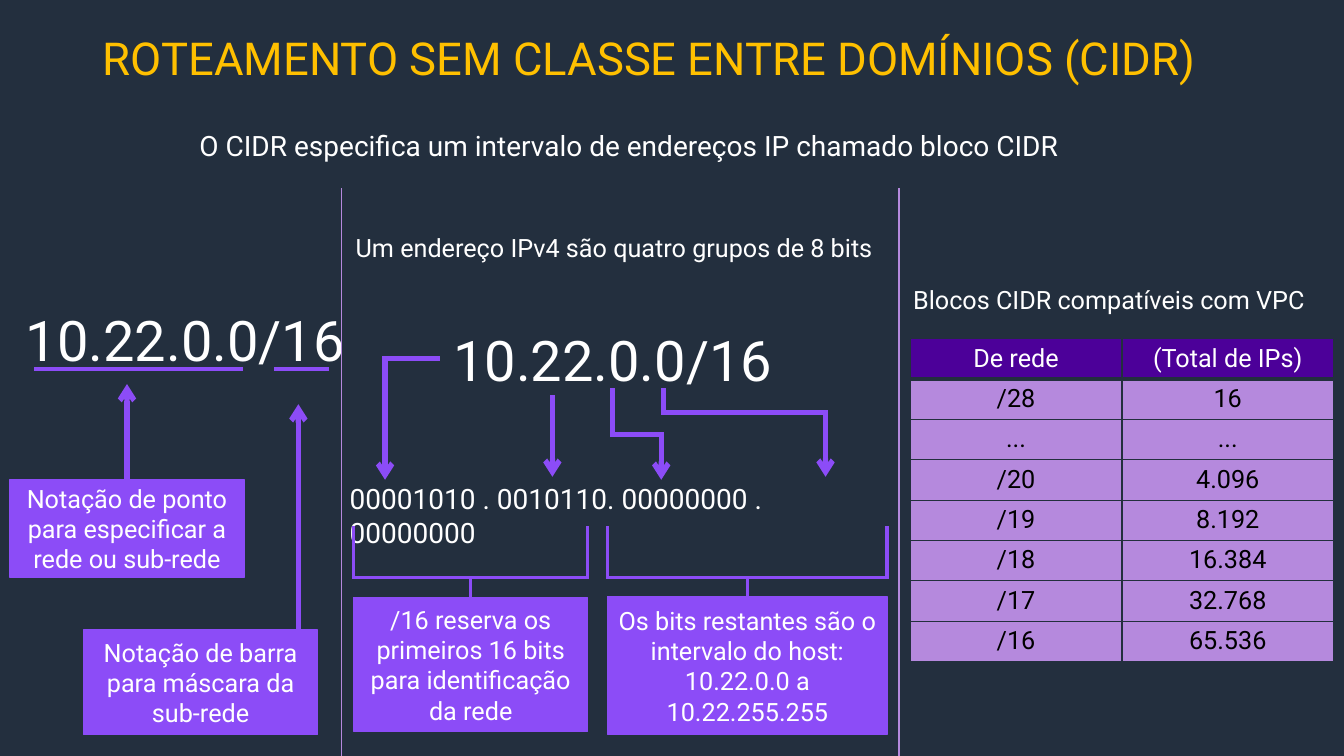
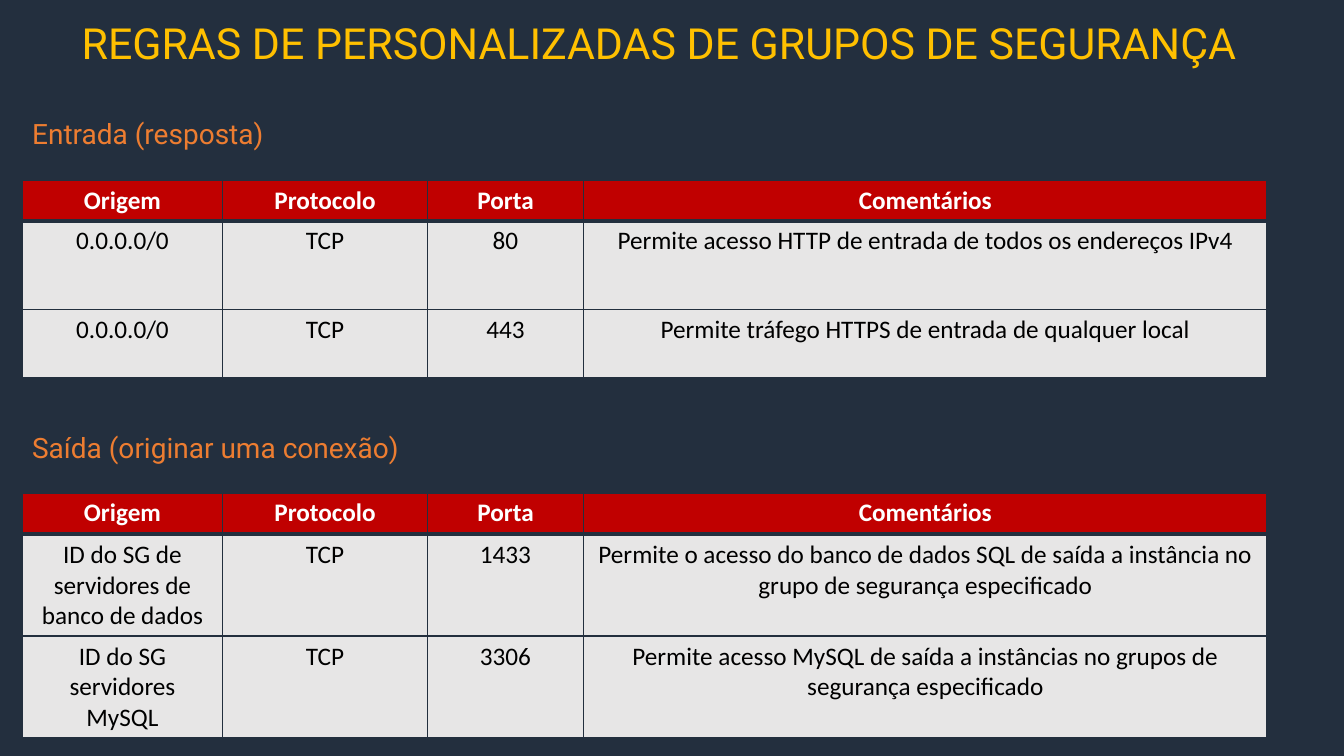
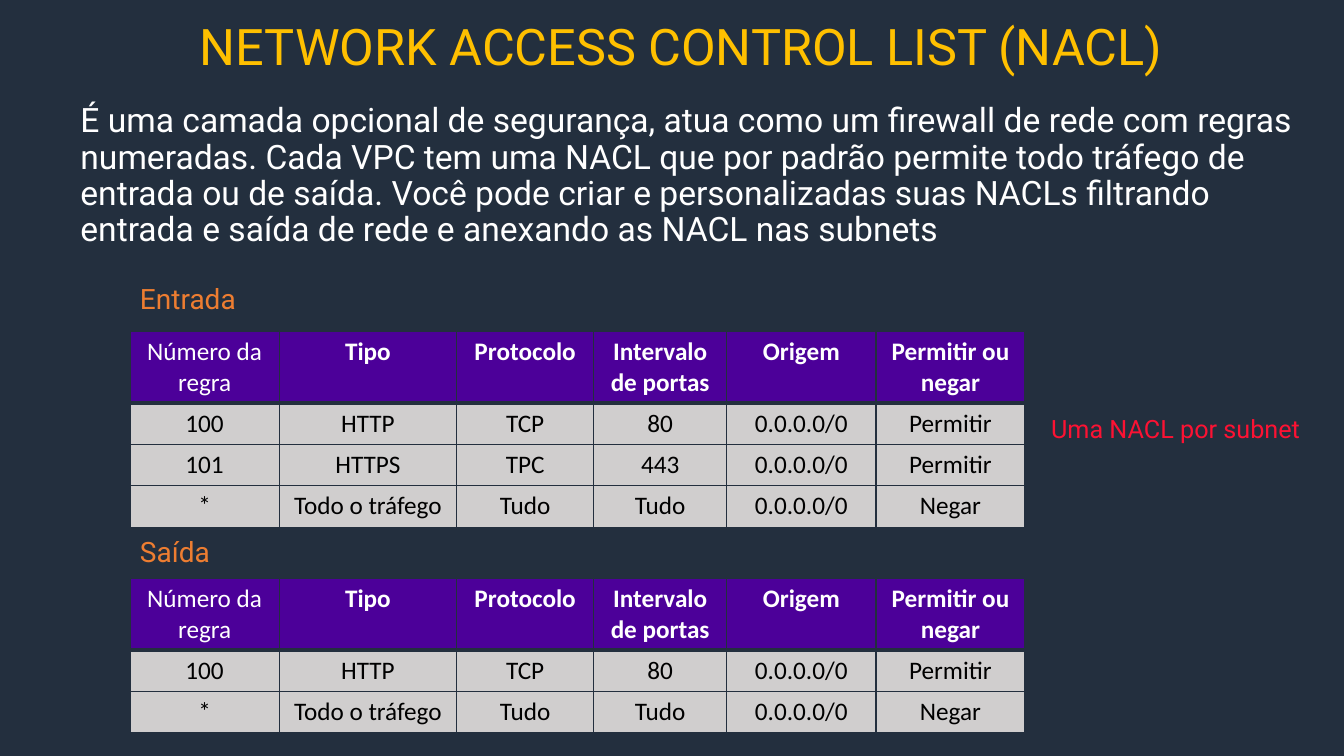
from dataclasses import dataclass
from itertools import pairwise

from lxml.etree import SubElement
from pptx import Presentation
from pptx.dml.color import RGBColor
from pptx.enum.shapes import MSO_CONNECTOR as Connector, MSO_SHAPE as Preset
from pptx.enum.text import MSO_ANCHOR as Anchor, MSO_AUTO_SIZE as AutoSize, PP_ALIGN as Align
from pptx.oxml.ns import qn
from pptx.util import Inches, Pt


@dataclass(frozen=True)
class Theme:
    """Colours, fonts and type sizes shared by the slides."""
    background: str = "232F3E"
    title: str = "FFC000"
    heading: str = "ED7D31"
    light: str = "FFFFFF"
    dark: str = "000000"
    warning: str = "FC1233"
    accent: str = "8C4CF7"
    lilac: str = "B589DD"
    purple: str = "4C0099"
    red: str = "C00000"
    pale_gray: str = "E7E6E6"
    gray: str = "D0CECE"
    font: str = "Roboto"
    table_font: str = "Calibri"
    body_size: float = 18
    heading_size: float = 20
    lead_size: float = 24
    address_size: float = 40
    thin: float = 1
    stem: float = 2
    bracket: float = 2.25
    thick: float = 3
    arrow: float = 3.75


THEME = Theme()
COLUMNS, ROWS = 133.33, 75
CELL = Inches(0.1)
ADDRESS = "10.22.0.0/16"


def grid(count):
    """Return the length of a number of grid cells."""
    return round(count * CELL)


@dataclass(frozen=True)
class Box:
    """A rectangle measured in grid columns and rows."""
    left: float
    top: float
    width: float
    height: float

    def inner(self, left, top, width, height):
        """Return a box placed relative to this one."""
        return Box(self.left + left, self.top + top, width, height)

    def point(self, column, row):
        """Return a grid point placed relative to this box."""
        return self.left + column, self.top + row

    def place(self):
        """Return the position and size as slide lengths."""
        return tuple(grid(value) for value in (self.left, self.top, self.width, self.height))


@dataclass(frozen=True)
class TableStyle:
    """Look of a table and the headers that are not bold."""
    header_fill: str
    body_fill: str
    font: str
    plain_headers: tuple = ()


def color(value):
    """Return a colour from its hexadecimal text."""
    return RGBColor.from_string(value)


def paint(fill, value):
    """Fill with one solid colour."""
    fill.solid()
    fill.fore_color.rgb = color(value)


def write(frame, text, size, tint, font=THEME.font, align=Align.LEFT, bold=False, spacing=1.0):
    """Write paragraphs run by run, with line breaks inside a paragraph."""
    frame.word_wrap = True
    paragraphs = [text] if isinstance(text, str) else text
    for number, content in enumerate(paragraphs):
        paragraph = frame.add_paragraph() if number else frame.paragraphs[0]
        paragraph.alignment = align
        paragraph.line_spacing = spacing
        for index, line in enumerate(content.split("\n")):
            if index:
                paragraph.add_line_break()
            run = paragraph.add_run()
            run.text = line
            run.font.name = font
            run.font.size = Pt(size)
            run.font.bold = bold
            run.font.color.rgb = color(tint)


def add_title(slide, box, text, size, anchor=Anchor.TOP, spacing=1.0):
    """Move and format the title placeholder."""
    title = slide.shapes.title
    title.left, title.top, title.width, title.height = box.place()
    title.text_frame.auto_size = AutoSize.NONE
    title.text_frame.vertical_anchor = anchor
    write(title.text_frame, text, size, THEME.title, spacing=spacing)


def add_text(slide, box, text, size=THEME.body_size, tint=THEME.light, spacing=1.0):
    """Add a wrapped text box."""
    shape = slide.shapes.add_textbox(*box.place())
    write(shape.text_frame, text, size, tint, spacing=spacing)


def add_callout(slide, box, text):
    """Add a filled rectangle with centred text."""
    shape = slide.shapes.add_shape(Preset.RECTANGLE, *box.place())
    shape.shadow.inherit = False
    paint(shape.fill, THEME.accent)
    shape.line.color.rgb = color(THEME.accent)
    shape.line.width = Pt(THEME.thin)
    shape.text_frame.vertical_anchor = Anchor.MIDDLE
    write(shape.text_frame, text, THEME.body_size, THEME.light, align=Align.CENTER)
    return shape


def add_line(slide, start, end, width, tint=THEME.accent, arrow=False, square=False):
    """Add a straight line, with an optional arrowhead at its end."""
    places = [grid(value) for value in (*start, *end)]
    line = slide.shapes.add_connector(Connector.STRAIGHT, *places)
    line.line.color.rgb = color(tint)
    line.line.width = Pt(width)
    properties = line.line._get_or_add_ln()
    if square:
        properties.set("cap", "sq")
    if arrow:
        SubElement(properties, qn("a:tailEnd"), type="arrow")
    SubElement(line._element.spPr, qn("a:effectLst"))
    return line


def add_route(slide, points, width, arrow=False):
    """Join points with straight lines."""
    for start, end in pairwise(points):
        add_line(slide, start, end, width, arrow=arrow and end == points[-1],
                 square=len(points) > 2)


def add_borders(cell, top, bottom):
    """Draw the four borders of a table cell."""
    properties = cell._tc.get_or_add_tcPr()
    for side, width in (("L", THEME.thin), ("R", THEME.thin), ("T", top), ("B", bottom)):
        border = SubElement(properties, qn(f"a:ln{side}"), w=str(Pt(width)))
        fill = SubElement(border, qn("a:solidFill"))
        SubElement(fill, qn("a:srgbClr"), val=THEME.background)


def add_table(slide, box, widths, heights, rows, style):
    """Add a table with a header row and plain body rows."""
    table = slide.shapes.add_table(len(rows), len(widths), *box.place()).table
    table.first_row = table.horz_banding = False
    for column, width in zip(table.columns, widths):
        column.width = grid(width)
    for number, (row, height, texts) in enumerate(zip(table.rows, heights, rows)):
        row.height = grid(height)
        header = number == 0
        for cell, text in zip(row.cells, texts):
            add_borders(cell, THEME.thick if number == 1 else THEME.thin,
                        THEME.thick if header else THEME.thin)
            paint(cell.fill, style.header_fill if header else style.body_fill)
            write(cell.text_frame, text, THEME.body_size,
                  THEME.light if header else THEME.dark, style.font, Align.CENTER,
                  header and text not in style.plain_headers)


def add_section(slide, box, heading, widths, heights, rows, style, spacing):
    """Put a heading at the top of a box and a table at its bottom."""
    table_height = sum(heights)
    add_text(slide, box.inner(0, 0, box.width, 4), heading,
             THEME.heading_size, THEME.heading, spacing)
    add_table(slide, box.inner(0, box.height - table_height, box.width, table_height),
              widths, heights, rows, style)


def add_notation_panel(slide, box):
    """Explain the dot and slash notation."""
    add_text(slide, box.inner(1.6, 11.1, 36.6, 7.7), ADDRESS, THEME.address_size)
    for start, end in ((3.4, 24.1), (27.2, 32.6)):
        add_line(slide, box.point(start, 17.9), box.point(end, 17.9), THEME.thick)
    dot = add_callout(slide, box.inner(1, 28.9, 23.2, 9.7),
                      "Notação de ponto para especificar a rede ou sub-rede")
    add_callout(slide, box.inner(8.3, 43.8, 23.2, 10.4),
                "Notação de barra para máscara da sub-rede")
    arrow = add_line(slide, box.point(12.6, 28.9), box.point(12.6, 19.4), THEME.arrow, arrow=True)
    arrow.begin_connect(dot, 0)
    add_line(slide, box.point(29.6, 43.8), box.point(29.6, 21.4), THEME.arrow, arrow=True)


def add_bracketed_callout(slide, box, bar_rise, text):
    """Add a callout under a bracket that is as wide as the callout."""
    callout = add_callout(slide, box, text)
    corners = ((0, -bar_rise - 5), (0, -bar_rise), (box.width, -bar_rise),
               (box.width, -bar_rise - 5))
    add_route(slide, [box.point(*corner) for corner in corners], THEME.bracket)
    middle = box.width / 2
    stem = add_line(slide, box.point(middle, -bar_rise), box.point(middle, 0), THEME.stem)
    stem.end_connect(callout, 0)


def add_bits_panel(slide, box):
    """Show how the address groups map to bits."""
    add_text(slide, box.inner(0.4, 3.9, 55.9, 4), "Um endereço IPv4 são quatro grupos de 8 bits")
    add_text(slide, box.inner(10.1, 13.1, 36.6, 7.7), ADDRESS, THEME.address_size)
    add_text(slide, box.inner(-0.2, 28.6, 55.9, 4.4),
             "00001010 . 0010110. 00000000 . 00000000", THEME.heading_size)
    add_bracketed_callout(slide, box.inner(1.2, 40.6, 23.2, 13.3), 2,
                          "/16 reserva os primeiros 16 bits para identificação da rede")
    add_bracketed_callout(slide, box.inner(26.4, 40.5, 27.7, 13.7), 1.9,
                          ("Os bits restantes são o intervalo do host:",
                           "10.22.0.0 a\n10.22.255.255"))
    routes = (
        ((9.5, 16.9), (4.3, 16.9), (4.3, 28.9)),
        ((20.9, 20.5), (20.9, 28.6)),
        ((26.9, 20.1), (26.9, 24.4), (31.7, 24.4), (31.7, 28.9)),
        ((31.9, 20.1), (31.9, 22.2), (48, 22.2), (48, 28.6)),
    )
    for route in routes:
        add_route(slide, [box.point(*corner) for corner in route], THEME.arrow, arrow=True)


def add_blocks_panel(slide, box):
    """List the block sizes."""
    rows = (("De rede", "(Total de IPs)"), ("/28", "16"), ("...", "..."), ("/20", "4.096"),
            ("/19", "8.192"), ("/18", "16.384"), ("/17", "32.768"), ("/16", "65.536"))
    add_text(slide, box.inner(0.4, 9, 42.1, 4), "Blocos CIDR compatíveis com VPC")
    add_table(slide, box.inner(1.1, 14.9, 42, 32), (21, 21), (4,) * len(rows), rows,
              TableStyle(THEME.purple, THEME.lilac, THEME.font, rows[0]))


def build_cidr_slide(slide, page):
    """Build the slide about address blocks."""
    add_title(slide, page.inner(9.2, 2.4, 115, 7.2),
              "ROTEAMENTO SEM CLASSE ENTRE DOMÍNIOS (CIDR)", 32.4, Anchor.MIDDLE, 0.9)
    add_text(slide, page.inner(18.8, 12.3, 88.7, 4.4),
             "O CIDR especifica um intervalo de endereços IP chamado bloco CIDR",
             THEME.heading_size)
    edges = (0, 33.9, 89.2, page.width)
    top = 18.7
    panels = (add_notation_panel, add_bits_panel, add_blocks_panel)
    for add_panel, (left, right) in zip(panels, pairwise(edges)):
        add_panel(slide, page.inner(left, top, right - left, page.height - top))
    for edge in edges[1:-1]:
        add_line(slide, page.point(edge, top), page.point(edge, page.height),
                 THEME.thin, THEME.lilac)


def build_security_group_slide(slide, page):
    """Build the slide about security group rules."""
    add_title(slide, page.inner(7.1, 2.1, 122.3, 6),
              "REGRAS DE PERSONALIZADAS DE GRUPOS DE SEGURANÇA", 30.6, spacing=0.8)
    headers = ("Origem", "Protocolo", "Porta", "Comentários")
    inbound = (
        ("0.0.0.0/0", "TCP", "80", "Permite acesso HTTP de entrada de todos os endereços IPv4"),
        ("0.0.0.0/0", "TCP", "443", "Permite tráfego HTTPS de entrada de qualquer local"),
    )
    outbound = (
        ("ID do SG de servidores de banco de dados", "TCP", "1433",
         "Permite o acesso do banco de dados SQL de saída a instância no grupo de segurança "
         "especificado"),
        ("ID do SG servidores MySQL", "TCP", "3306",
         "Permite acesso MySQL de saída a instâncias no grupos de segurança especificado"),
    )
    sections = (
        ("Entrada (resposta)", 11.4, 26.1, (4, 8.8, 6.8), inbound),
        ("Saída (originar uma conexão)", 42.6, 30.6, (4.1, 10.1, 10.1), outbound),
    )
    style = TableStyle(THEME.red, THEME.pale_gray, THEME.table_font)
    for heading, top, height, heights, rules in sections:
        add_section(slide, page.inner(2.2, top, 123.5, height), heading,
                    (19.9, 20.3, 15.5, 67.8), heights, (headers, *rules), style, 0.9)


def build_access_list_slide(slide, page):
    """Build the slide about network access lists."""
    add_title(slide, page.inner(18.8, 1, 114.5, 7.1), "NETWORK ACCESS CONTROL LIST (NACL)", 36)
    add_text(slide, page.inner(7, 9.8, 122.3, 16.9),
             "É uma camada opcional de segurança, atua como um firewall de rede com regras "
             "numeradas. Cada VPC tem uma NACL que por padrão permite todo tráfego de entrada "
             "ou de saída. Você pode criar e personalizadas suas NACLs filtrando entrada e "
             "saída de rede e anexando as NACL nas subnets", THEME.lead_size, spacing=0.9)
    headers = ("Número da regra", "Tipo", "Protocolo", "Intervalo de portas", "Origem",
               "Permitir ou negar")
    web = ("100", "HTTP", "TCP", "80", "0.0.0.0/0", "Permitir")
    secure_web = ("101", "HTTPS", "TPC", "443", "0.0.0.0/0", "Permitir")
    everything = ("*", "Todo o tráfego", "Tudo", "Tudo", "0.0.0.0/0", "Negar")
    sections = (
        ("Entrada", 28.1, 24.2, (web, secure_web, everything)),
        ("Saída", 53.2, 19.5, (web, everything)),
    )
    style = TableStyle(THEME.purple, THEME.gray, THEME.table_font, headers[:1])
    for heading, top, height, rules in sections:
        add_section(slide, page.inner(12.9, top, 88.8, height), heading,
                    (14.8, 17.6, 13.6, 13.2, 14.8, 14.8), (7.1,) + (4.1,) * len(rules),
                    (headers, *rules), style, 0.8)
    add_text(slide, page.inner(103.3, 40.5, 27.7, 4), "Uma NACL por subnet", tint=THEME.warning)


def main():
    """Build and save the presentation."""
    presentation = Presentation()
    presentation.slide_width = grid(COLUMNS)
    presentation.slide_height = grid(ROWS)
    paint(presentation.slide_master.background.fill, THEME.background)
    title_only = presentation.slide_layouts[5]
    page = Box(0, 0, COLUMNS, ROWS)
    for build in (build_cidr_slide, build_security_group_slide, build_access_list_slide):
        build(presentation.slides.add_slide(title_only), page)
    presentation.save("out.pptx")


if __name__ == "__main__":
    main()
